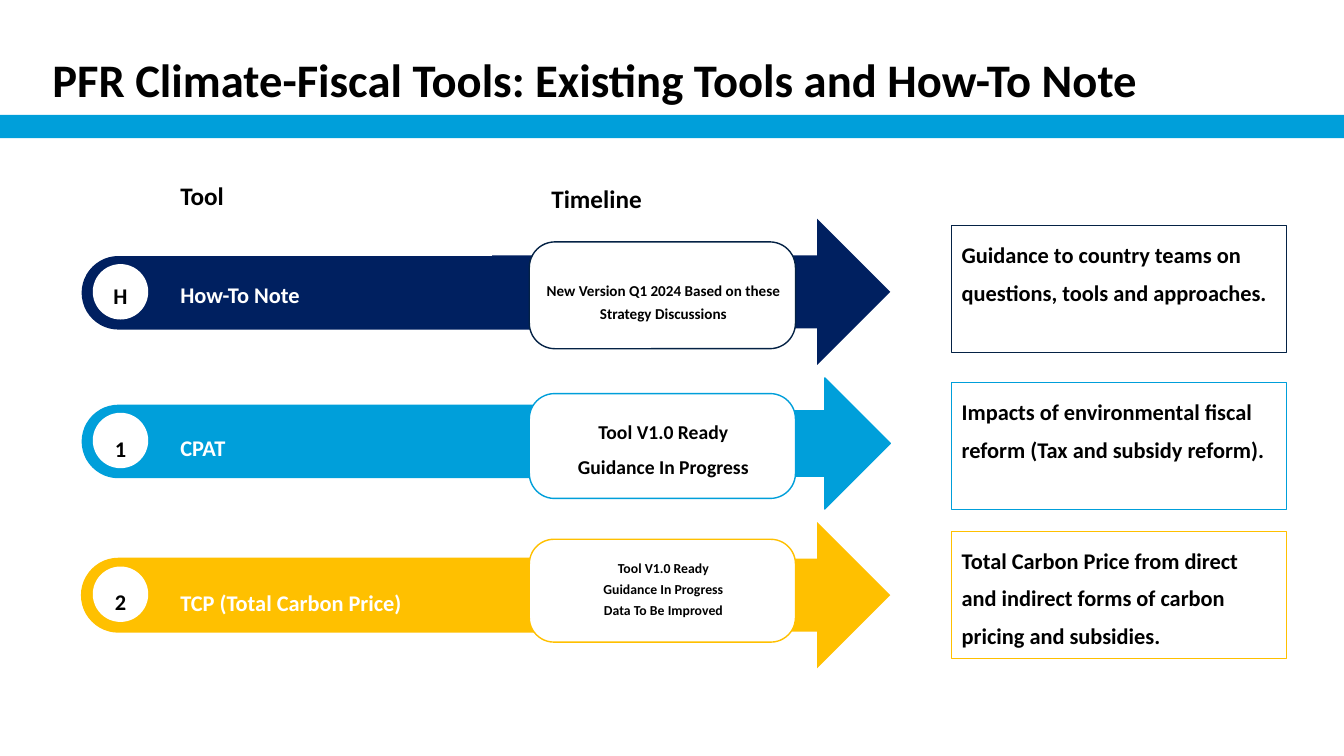
from dataclasses import dataclass
from pptx import Presentation
from pptx.dml.color import RGBColor
from pptx.enum.shapes import MSO_SHAPE
from pptx.enum.text import MSO_ANCHOR, PP_ALIGN
from pptx.util import Inches, Pt

COLORS = {"navy": "002060", "ink": "042245", "blue": "009FDA",
          "gold": "FFC000", "white": "FFFFFF", "black": "000000"}
FONT = "Calibri"
SLIDE_W, SLIDE_H = 13.33, 7.5
ROWS_TOP, ROW_PITCH, ROW_H = 2.17, 1.505, 1.45


@dataclass
class ToolRow:
    mark: str
    name: str
    timeline: str
    purpose: str
    fill: str
    border: str
    timeline_size: float
    timeline_spacing: float
    # Offsets below the top of the row
    bar: float
    name_top: float
    mark_top: float
    callout: float
    timeline_top: float
    purpose_top: float
    callout_h: float
    arrow_h: float = ROW_H
    bar_line: str = None
    arrow_line: str = None


TOOLS = [
    ToolRow("H", "How-To Note", "New Version Q1 2024 Based on these Strategy Discussions",
            "Guidance to country teams on questions, tools and approaches.",
            "navy", "ink", 10.8, 1.3,
            bar=0.37, name_top=0.44, mark_top=0.45, callout=0.23,
            timeline_top=0.29, purpose_top=0.07, callout_h=1.06),
    ToolRow("1", "CPAT", "Tool V1.0 Ready\nGuidance In Progress",
            "Impacts of environmental fiscal reform (Tax and subsidy reform).",
            "blue", "blue", 14, 1.5,
            bar=0.34, name_top=0.45, mark_top=0.46, callout=0.23,
            timeline_top=0.21, purpose_top=0.12, callout_h=1.04,
            arrow_h=1.3, arrow_line="blue"),
    ToolRow("2", "TCP (Total Carbon Price)",
            "Tool V1.0 Ready\nGuidance In Progress\nData To Be Improved",
            "Total Carbon Price from direct and indirect forms of carbon pricing and subsidies.",
            "gold", "gold", 9.8, 1.3,
            bar=0.36, name_top=0.48, mark_top=0.47, callout=0.17,
            timeline_top=0.13, purpose_top=0.09, callout_h=1.02, bar_line="gold"),
]


def rgb(name):
    return RGBColor.from_string(COLORS[name])


def add_block(s, kind, x, y, w, h, fill=None, line=None, weight=1, adj=None):
    sp = s.shapes.add_shape(kind, Inches(x), Inches(y), Inches(w), Inches(h))
    sp.shadow.inherit = False
    if fill:
        sp.fill.solid()
        sp.fill.fore_color.rgb = rgb(fill)
    else:
        sp.fill.background()
    if line:
        sp.line.color.rgb = rgb(line)
        sp.line.width = Pt(weight)
    else:
        sp.line.fill.background()
    if adj is not None:
        sp.adjustments[0] = adj
    return sp


def write(sp, text, size, color="black", spacing=1.5,
          align=PP_ALIGN.LEFT, anchor=MSO_ANCHOR.TOP):
    tf = sp.text_frame
    tf.word_wrap = True
    tf.vertical_anchor = anchor
    tf.text = text
    for p in tf.paragraphs:
        p.alignment = align
        p.line_spacing = spacing
        for r in p.runs:
            r.font.name = FONT
            r.font.size = Pt(size)
            r.font.bold = True
            r.font.color.rgb = rgb(color)
    return tf


def add_text(s, x, y, w, h, text, size, **style):
    box = s.shapes.add_textbox(Inches(x), Inches(y), Inches(w), Inches(h))
    return write(box, text, size, **style)


def add_header(s):
    # Band, title and column headings
    add_block(s, MSO_SHAPE.RECTANGLE, 0, 1.14, SLIDE_W, 0.23, "blue")
    add_text(s, 0.42, 0.52, 12.48, 0.63,
             "PFR Climate-Fiscal Tools: Existing Tools and How-To Note", 33.3, spacing=0.9)
    add_text(s, 1.69, 1.59, 2.01, 0.54, "Tool", 18)
    add_text(s, 5.37, 1.62, 2.01, 0.54, "Timeline", 18)


def add_tool_row(s, left, top, row):
    # Rounded bar running into an arrow
    add_block(s, MSO_SHAPE.ROUNDED_RECTANGLE, left, top + row.bar, 6.04, 0.73,
              row.fill, row.bar_line, adj=0.5)
    add_block(s, MSO_SHAPE.RIGHT_ARROW, left + 4.07, top + (ROW_H - row.arrow_h) / 2,
              3.95, row.arrow_h, row.fill, row.arrow_line)

    # Numbered circle and tool name
    add_block(s, MSO_SHAPE.OVAL, left + 0.11, top + row.bar + 0.08, 0.55, 0.55, "white")
    add_text(s, left + 0.11, top + row.mark_top, 0.55, 0.55, row.mark, 16,
             align=PP_ALIGN.CENTER)
    add_text(s, left + 0.88, top + row.name_top, 3.42, 0.52, row.name, 16, color="white")

    # Timeline callout
    add_block(s, MSO_SHAPE.ROUNDED_RECTANGLE, left + 4.44, top + row.callout,
              2.64, row.callout_h, "white", row.border, adj=0.24)
    tf = add_text(s, left + 4.5, top + row.timeline_top, 2.54, 1.02, row.timeline,
                  row.timeline_size, spacing=row.timeline_spacing,
                  align=PP_ALIGN.CENTER, anchor=MSO_ANCHOR.MIDDLE)
    tf.margin_left = tf.margin_right = Inches(0.05)

    # Purpose box
    sp = add_block(s, MSO_SHAPE.RECTANGLE, left + 8.63, top + row.purpose_top,
                   3.32, 1.26, line=row.border, weight=0.75)
    write(sp, row.purpose, 16, spacing=1.4)


def main():
    prs = Presentation()
    prs.slide_width, prs.slide_height = Inches(SLIDE_W), Inches(SLIDE_H)
    s = prs.slides.add_slide(prs.slide_layouts[6])
    add_header(s)
    for i, row in enumerate(TOOLS):
        add_tool_row(s, 0.81, ROWS_TOP + i * ROW_PITCH, row)
    prs.save("out.pptx")


if __name__ == "__main__":
    main()
